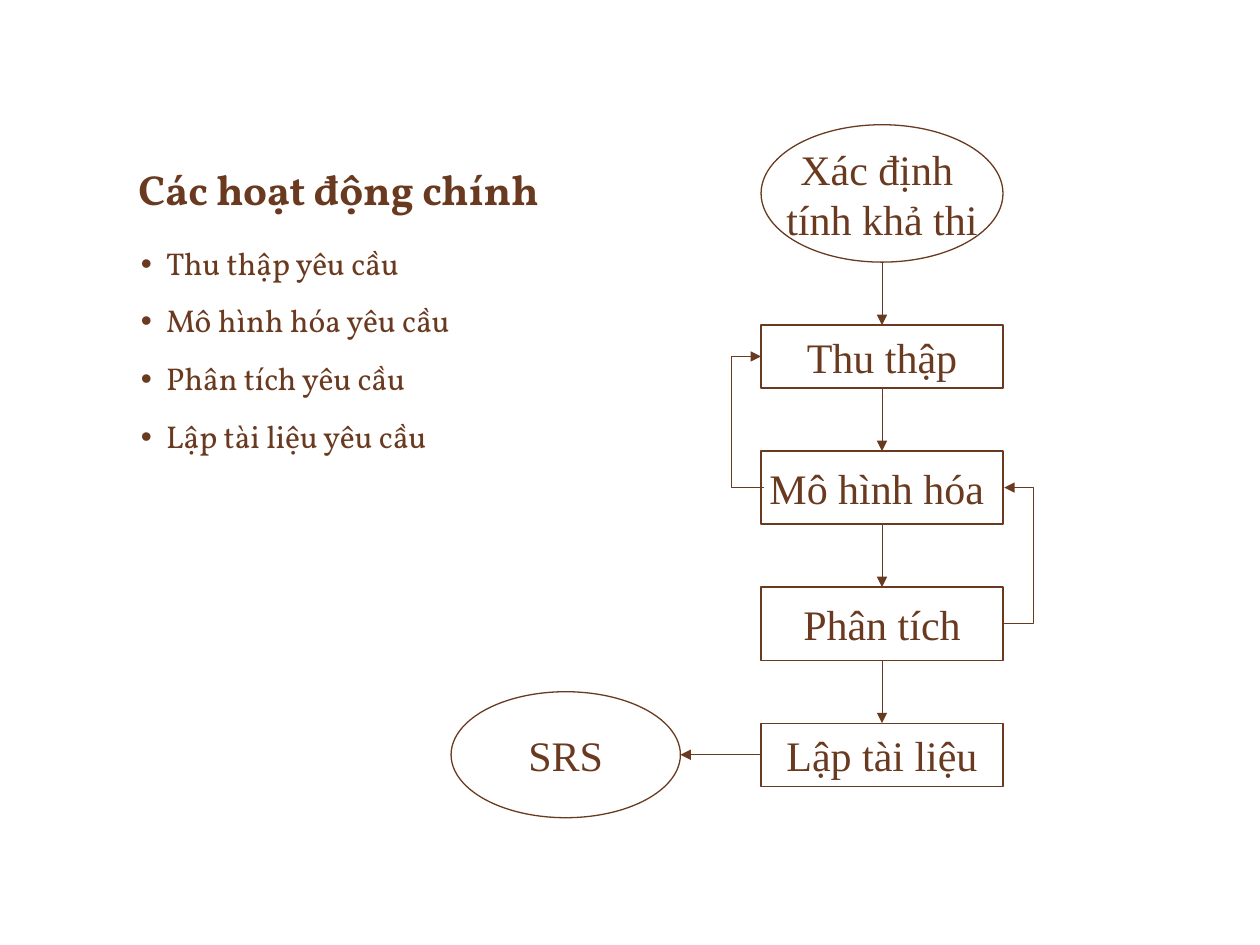
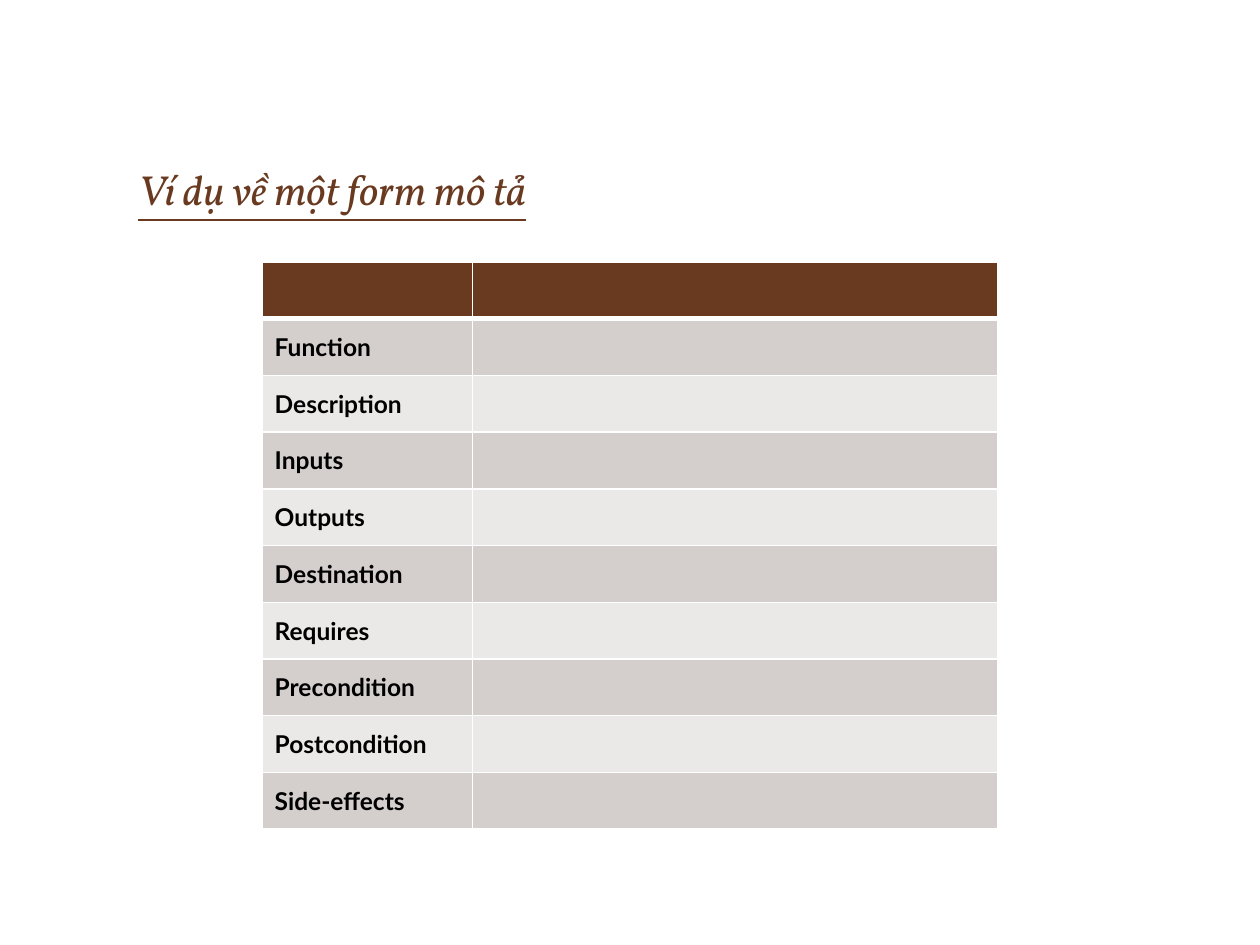
from lxml import etree
from pptx import Presentation
from pptx.dml.color import RGBColor
from pptx.enum.shapes import MSO_CONNECTOR, MSO_SHAPE
from pptx.enum.text import MSO_ANCHOR, PP_ALIGN
from pptx.oxml.ns import qn
from pptx.util import Inches, Pt

STRAIGHT, ELBOW = MSO_CONNECTOR.STRAIGHT, MSO_CONNECTOR.ELBOW
RECTANGLE, ELLIPSE = MSO_SHAPE.RECTANGLE, MSO_SHAPE.OVAL
MIDDLE, BOTTOM = MSO_ANCHOR.MIDDLE, MSO_ANCHOR.BOTTOM
CENTER = PP_ALIGN.CENTER
BROWN, WHITE, BLACK = "6A3A20", "FFFFFF", "000000"
BANDS = ("D4CECD", "EBE8E8")
HEADING_FONT, DIAGRAM_FONT, TABLE_FONT = "Vollkorn", "Times New Roman", "Lato"

ACTIVITIES = ["Thu thập yêu cầu", "Mô hình hóa yêu cầu", "Phân tích yêu cầu", "Lập tài liệu yêu cầu"]
STAGE_LEFT, STAGE_WIDTH = 6.04, 1.92
STAGES = [
    (ELLIPSE, "Xác định \vtính khả thi", 0.99, 1.09),
    (RECTANGLE, "Thu thập", 2.58, 0.5),
    (RECTANGLE, "Mô hình hóa ", 3.58, 0.58),
    (RECTANGLE, "Phân tích", 4.66, 0.58),
    (RECTANGLE, "Lập tài liệu", 5.74, 0.5),
]
FORM_FIELDS = ["Function", "Description", "Inputs", "Outputs", "Destination",
               "Requires", "Precondition", "Postcondition", "Side-effects"]


def color(value):
    return RGBColor.from_string(value)


def write(para, text, font, size, ink=BROWN, bold=False, italic=False, underline=False, align=None):
    para.alignment = align
    for index, line in enumerate(text.split("\v")):
        if index:
            para.add_line_break()
        span = para.add_run()
        span.text = line
        span.font.name, span.font.size = font, Pt(size)
        span.font.bold, span.font.italic, span.font.underline = bold, italic, underline
        span.font.color.rgb = color(ink)


def add_box(page, left, top, width, height):
    box = page.shapes.add_textbox(Inches(left), Inches(top), Inches(width), Inches(height))
    box.text_frame.word_wrap = True
    return box.text_frame


def add_title(page, text, **style):
    frame = add_box(page, 1, 0.47, 8, 1.28)
    frame.vertical_anchor = BOTTOM
    write(frame.paragraphs[0], text, HEADING_FONT, 24, **style)


def add_bullet(para):
    properties = para._p.get_or_add_pPr()
    properties.set("marL", str(Inches(0.2)))
    properties.set("indent", str(Inches(-0.2)))
    tint = etree.SubElement(properties, qn("a:buClr"))
    etree.SubElement(tint, qn("a:srgbClr"), val=BROWN)
    etree.SubElement(properties, qn("a:buFont"), typeface="Arial")
    etree.SubElement(properties, qn("a:buChar"), char="•")


def add_bullets(page, items):
    frame = add_box(page, 1.02, 1.92, 8, 4.67)
    for index, item in enumerate(items):
        para = frame.add_paragraph() if index else frame.paragraphs[0]
        para.line_spacing, para.space_before = 0.9, Pt(13.5)
        add_bullet(para)
        write(para, item, HEADING_FONT, 18)


def add_node(page, kind, text, left, top, width, height):
    node = page.shapes.add_shape(kind, Inches(left), Inches(top), Inches(width), Inches(height))
    node.shadow.inherit = False
    node.fill.solid()
    node.fill.fore_color.rgb = color(WHITE)
    node.line.color.rgb = color(BROWN)
    node.line.width = Pt(0.75)
    node.text_frame.word_wrap = False
    node.text_frame.vertical_anchor = MIDDLE
    write(node.text_frame.paragraphs[0], text, DIAGRAM_FONT, 24, align=CENTER)


def add_arrow(page, start, end, bend_x=None):
    kind = STRAIGHT if bend_x is None else ELBOW
    arrow = page.shapes.add_connector(kind, *map(Inches, start + end))
    arrow.line.color.rgb = color(BROWN)
    arrow.line.width = Pt(0.5)
    etree.SubElement(arrow.line._get_or_add_ln(), qn("a:tailEnd"), type="triangle")
    properties = arrow._element.spPr
    etree.SubElement(properties, qn("a:effectLst"))
    if bend_x is not None:
        ratio = (bend_x - start[0]) / (end[0] - start[0])
        geometry = properties.find(qn("a:prstGeom"))
        guides = geometry.find(qn("a:avLst"))
        if guides is None:
            guides = etree.SubElement(geometry, qn("a:avLst"))
        etree.SubElement(guides, qn("a:gd"), name="adj1", fmla=f"val {round(ratio * 100000)}")


def set_borders(cell, **widths):
    properties = cell._tc.get_or_add_tcPr()
    for index, side in enumerate("LRTB"):
        border = etree.Element(qn(f"a:ln{side}"), w=str(Pt(widths.get(side, 1))))
        fill = etree.SubElement(border, qn("a:solidFill"))
        etree.SubElement(fill, qn("a:srgbClr"), val=WHITE)
        properties.insert(index, border)


def add_form(page, fields, left, top, widths, row_height):
    rows = [""] + fields
    frame = page.shapes.add_table(len(rows), len(widths), Inches(left), Inches(top),
                                  Inches(sum(widths)), Inches(row_height * len(rows)))
    table = frame.table
    for column, width in zip(table.columns, widths):
        column.width = Inches(width)
    for index, field in enumerate(rows):
        table.rows[index].height = Inches(row_height)
        for cell in table.rows[index].cells:
            cell.fill.solid()
            cell.fill.fore_color.rgb = color(BANDS[(index - 1) % 2] if index else BROWN)
            cell.vertical_anchor = MIDDLE
            set_borders(cell, B=1 if index else 3, T=3 if index == 1 else 1)
        if field:
            write(table.cell(index, 0).text_frame.paragraphs[0], field, TABLE_FONT, 14,
                  ink=BLACK, bold=True)


def build_activities(page):
    add_title(page, "Các hoạt động chính", bold=True)
    add_bullets(page, ACTIVITIES)
    for kind, text, top, height in STAGES:
        add_node(page, kind, text, STAGE_LEFT, top, STAGE_WIDTH, height)
    add_node(page, ELLIPSE, "SRS", 3.58, 5.49, 1.82, 1)
    center = STAGE_LEFT + STAGE_WIDTH / 2
    for (_, _, top, height), (_, _, next_top, _) in zip(STAGES, STAGES[1:]):
        add_arrow(page, (center, top + height), (center, next_top))
    _, collect, model, analyze, document = [top + height / 2 for _, _, top, height in STAGES]
    right = STAGE_LEFT + STAGE_WIDTH
    add_arrow(page, (right, analyze), (right + 0.01, model), bend_x=right + 0.25)
    add_arrow(page, (STAGE_LEFT + 0.02, model), (STAGE_LEFT, collect), bend_x=STAGE_LEFT - 0.23)
    add_arrow(page, (STAGE_LEFT, document), (5.4, document))


def build_form(page):
    add_title(page, "Ví dụ về một form mô tả", italic=True, underline=True)
    add_form(page, FORM_FIELDS, 2.08, 2.08, [1.67, 4.17], 0.45)


def main():
    deck = Presentation()
    deck.slide_width, deck.slide_height = Inches(10), Inches(7.5)
    blank = deck.slide_layouts[6]
    for build in (build_activities, build_form):
        build(deck.slides.add_slide(blank))
    deck.save("out.pptx")


if __name__ == "__main__":
    main()
